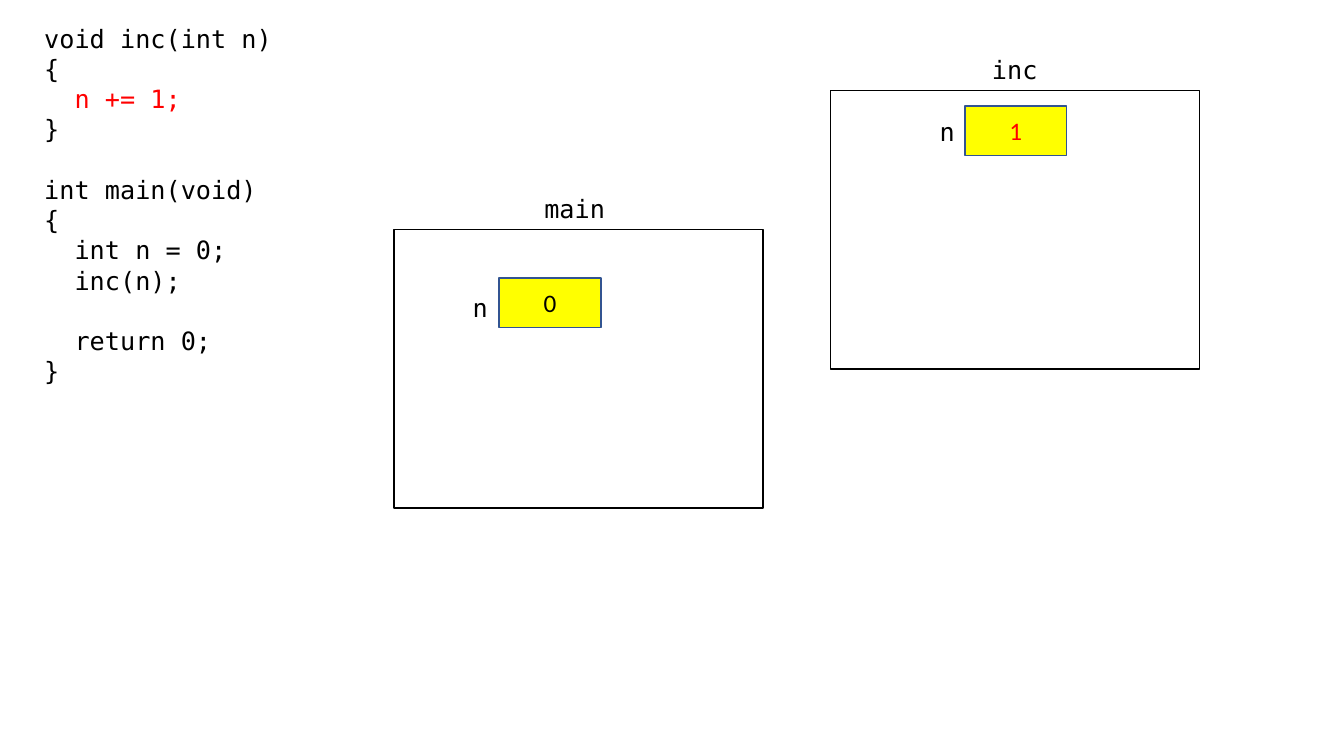
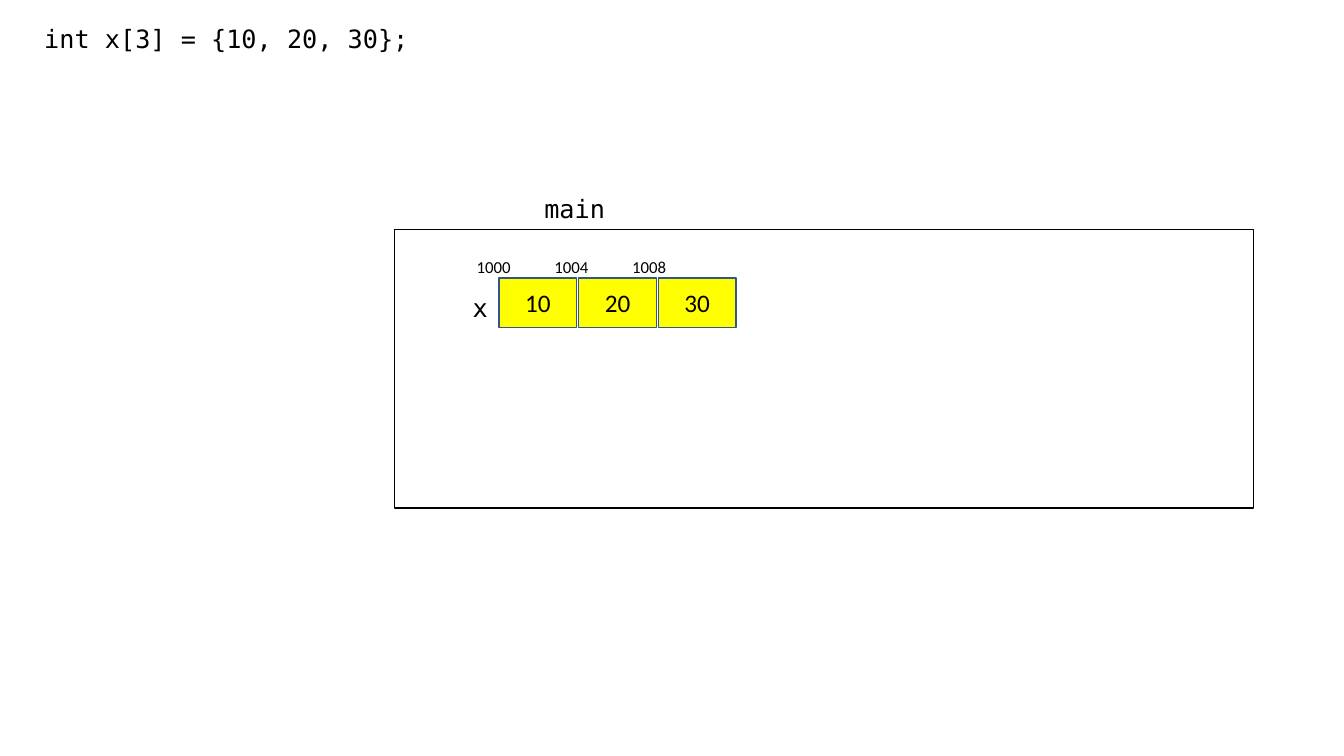
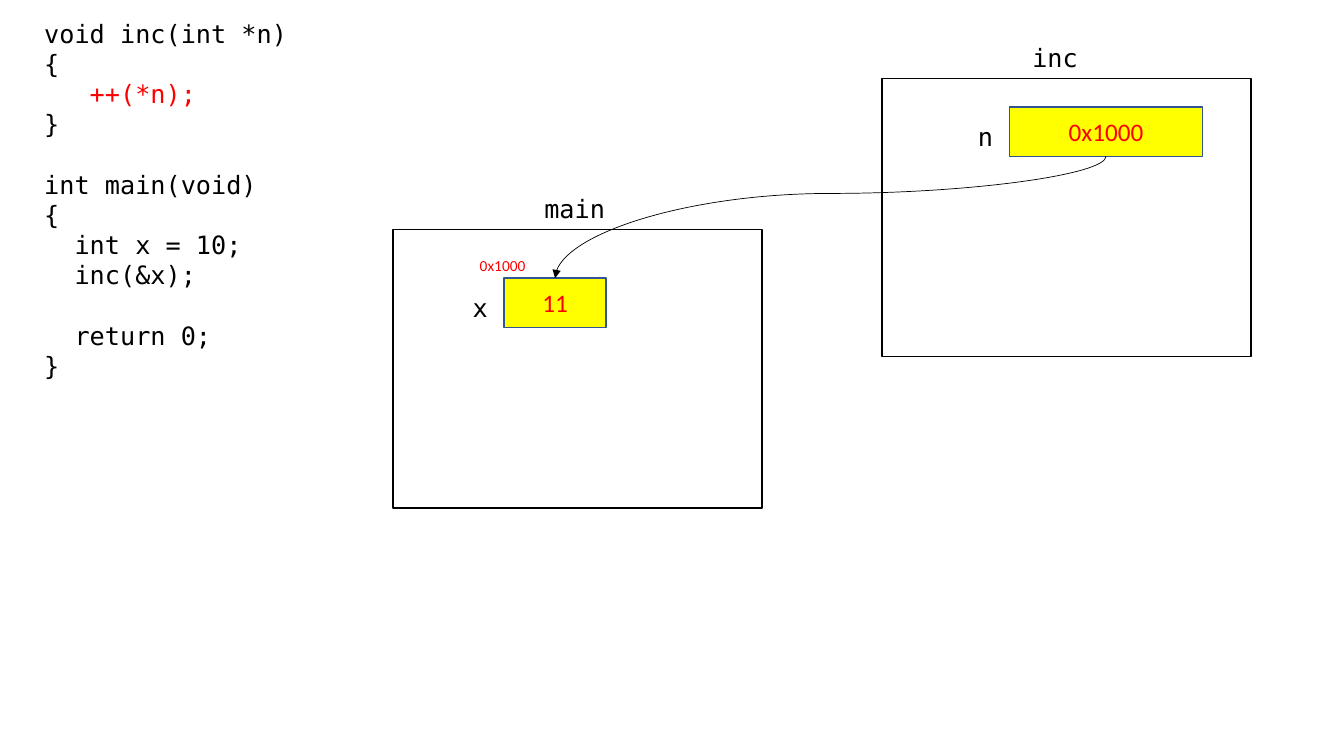
"""Build three slides showing how C functions hold and share their variables."""
from dataclasses import dataclass

from lxml.etree import SubElement
from pptx import Presentation
from pptx.dml.color import RGBColor
from pptx.enum.shapes import MSO_CONNECTOR, MSO_SHAPE
from pptx.enum.text import MSO_ANCHOR, PP_ALIGN
from pptx.oxml.ns import qn
from pptx.util import Emu, Pt


@dataclass(frozen=True)
class Theme:
    """Colours, fonts and type sizes shared by the slides."""
    ink: str = "000000"
    accent: str = "FF0000"
    paper: str = "FFFFFF"
    cell: str = "FFFF00"
    cell_line: str = "325491"
    code_font: str = "DejaVu Sans Mono"
    value_font: str = "Calibri"
    size: int = 18
    address_size: int = 12
    pointer_size: int = 11
    code_line: float = 21.5


THEME = Theme()
FRAME_W, FRAME_H = 366, 276
CELL_W, CELL_H = 101, 49

INC_BY_VALUE = """void inc(int n)
{
  n += 1;
}

int main(void)
{
  int n = 0;
  inc(n);

  return 0;
}"""

INC_BY_POINTER = """void inc(int *n)
{
   ++(*n);
}

int main(void)
{
  int x = 10;
  inc(&x);

  return 0;
}"""


def px(n):
    """Turn px, 100 to the inch, into EMU."""
    return Emu(round(n * 9144))


def style(p, font, size, color):
    """Format every run of a paragraph."""
    for r in p.runs:
        r.font.name = font
        r.font.size = Pt(size)
        r.font.color.rgb = RGBColor.from_string(color)


def add_text(s, text, x, y, w, h=40, font=THEME.code_font, size=THEME.size,
             color=THEME.ink):
    """Add a line of text."""
    sp = s.shapes.add_textbox(px(x), px(y), px(w), px(h))
    tf = sp.text_frame
    tf.word_wrap = True
    tf.text = text
    style(tf.paragraphs[0], font, size, color)
    return tf


def add_code(s, code, y, w, changed=None):
    """Add a listing, with the changed line in the accent colour."""
    lines = code.split("\n")
    tf = add_text(s, lines[0], 34, y, w, 374 if len(lines) > 1 else 40)
    for before, line in zip(lines, lines[1:]):
        if line:
            p = tf.add_paragraph()
            p.text = line
            p.space_before = Pt(0 if before else THEME.code_line)
            color = THEME.accent if line.strip() == changed else THEME.ink
            style(p, THEME.code_font, THEME.size, color)


def add_box(s, x, y, w, h, fill, line):
    """Add a filled and outlined rectangle."""
    sp = s.shapes.add_shape(MSO_SHAPE.RECTANGLE, px(x), px(y), px(w), px(h))
    sp.shadow.inherit = False
    sp.fill.solid()
    sp.fill.fore_color.rgb = RGBColor.from_string(fill)
    sp.line.color.rgb = RGBColor.from_string(line)
    sp.line.width = Pt(1)
    return sp


def add_frame(s, name, x, y, w=FRAME_W, name_dx=139, name_w=88):
    """Add a stack frame with its function name above."""
    add_box(s, x, y, w, FRAME_H, THEME.paper, THEME.ink)
    add_text(s, name, x + name_dx, y - 41, name_w)


def add_cell(s, value, x, y, w=CELL_W, color=THEME.ink):
    """Add a memory cell holding a value."""
    sp = add_box(s, x, y, w, CELL_H, THEME.cell, THEME.cell_line)
    tf = sp.text_frame
    tf.vertical_anchor = MSO_ANCHOR.MIDDLE
    tf.text = value
    p = tf.paragraphs[0]
    p.alignment = PP_ALIGN.CENTER
    style(p, THEME.value_font, THEME.size, color)
    return sp


def add_variable(s, name, x, y):
    """Add a variable name beside its cell."""
    add_text(s, name, x, y, 41)


def add_address(s, text, x, y, w, size, color=THEME.ink):
    """Add a small address above a cell."""
    add_text(s, text, x, y, w, 30, THEME.value_font, size, color)


def add_pointer(s, source, target):
    """Add a curved arrow from the bottom of source to the top of target."""
    c = s.shapes.add_connector(MSO_CONNECTOR.CURVE, 0, 0, 0, 0)
    c.begin_connect(source, 2)
    c.end_connect(target, 0)
    span, drop = c.width, c.height
    mid_x, mid_y = c.left + span // 2, c.top + drop // 2
    spPr = c.element.spPr
    spPr.xfrm.flipH = False
    spPr.xfrm.set("rot", "5400000")
    c.left, c.top = mid_x - drop // 2, mid_y - span // 2
    c.width, c.height = drop, span
    guides = spPr.find(qn("a:prstGeom")).get_or_add_avLst()
    SubElement(guides, qn("a:gd"), name="adj1", fmla="val 30500")
    c.line.width = Pt(0.5)
    c.line.color.rgb = RGBColor.from_string(THEME.ink)
    SubElement(c.line._get_or_add_ln(), qn("a:tailEnd"), type="triangle")
    SubElement(spPr, qn("a:effectLst"))


def by_value_slide(s):
    """Show a call that changes only its own copy."""
    add_frame(s, "main", 391, 228)
    add_code(s, INC_BY_VALUE, 18, 461, "n += 1;")
    add_cell(s, "0", 495, 276)
    add_variable(s, "n", 459, 285)
    add_frame(s, "inc", 824, 90, name_dx=150, name_w=67)
    add_cell(s, "1", 957, 105, color=THEME.accent)
    add_variable(s, "n", 922, 110)


def array_slide(s):
    """Show an array in consecutive cells."""
    add_frame(s, "main", 391, 228, w=852)
    add_code(s, "int x[3] = {10, 20, 30};", 18, 461)
    add_variable(s, "x", 459, 285)
    for i, value in enumerate((10, 20, 30)):
        add_cell(s, str(value), 495 + 79 * i, 276, 77)
        add_address(s, str(1000 + 4 * i), 463 + 77 * i, 250, 71,
                    THEME.address_size)


def by_pointer_slide(s):
    """Show a call that changes the caller's variable."""
    add_frame(s, "main", 390, 228, name_dx=140)
    add_code(s, INC_BY_POINTER, 13, 322, "++(*n);")
    target = add_cell(s, "11", 500, 276, color=THEME.accent)
    add_variable(s, "x", 459, 285)
    add_address(s, "0x1000", 466, 249, 107, THEME.pointer_size, THEME.accent)
    add_frame(s, "inc", 875, 78)
    source = add_cell(s, "0x1000", 1001, 106, 192, THEME.accent)
    add_variable(s, "n", 960, 115)
    add_pointer(s, source, target)


def main():
    """Build and save the presentation."""
    prs = Presentation()
    prs.slide_width, prs.slide_height = px(1333), px(750)
    for build in (by_value_slide, array_slide, by_pointer_slide):
        build(prs.slides.add_slide(prs.slide_layouts[6]))
    prs.save("out.pptx")


if __name__ == "__main__":
    main()
